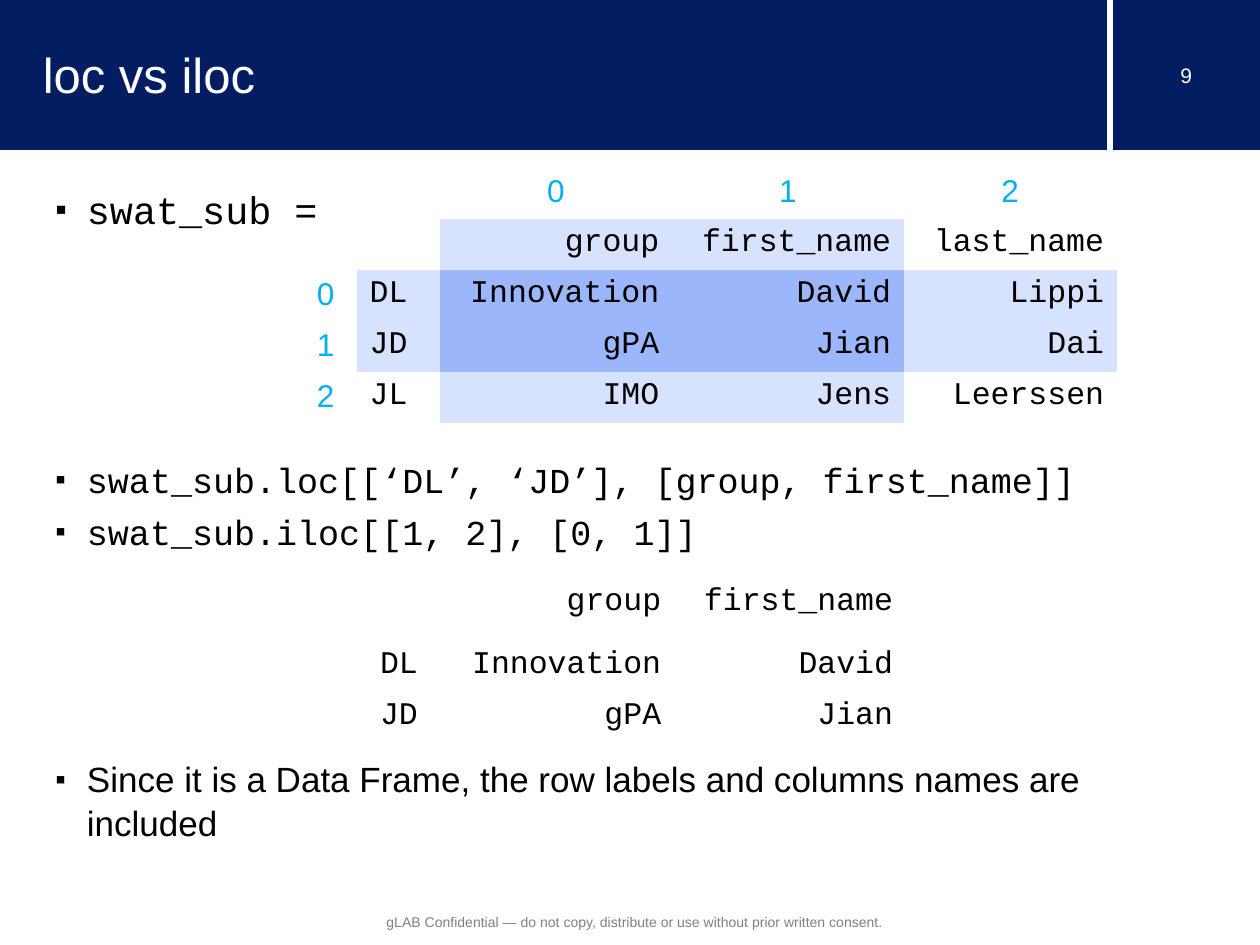
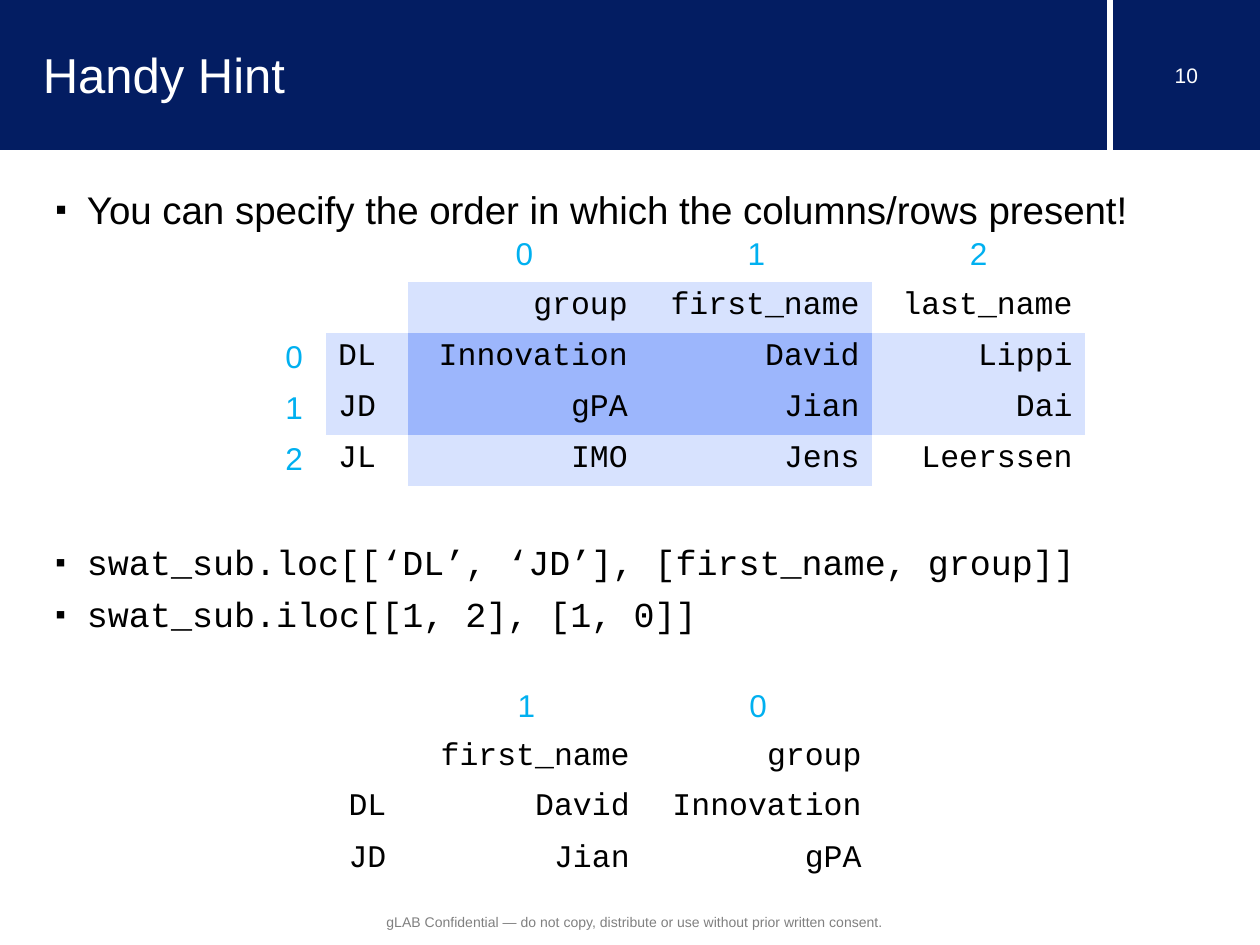
from lxml import etree
from pptx import Presentation
from pptx.dml.color import RGBColor
from pptx.enum import shapes, text
from pptx.oxml.ns import qn
from pptx.util import Pt

COLORS = {
    "navy": "031D62",
    "white": "FFFFFF",
    "black": "000000",
    "index": "00B0F0",
    "footer": "808080",
    "selected": "D7E2FE",
    "crossing": "9CB6FC",
}
SANS, MONO = "Arial", "Courier New"
NO_GRID = "{2D5ABB26-0587-4C30-8999-92F81FD0307C}"
WIDTH, HEIGHT = 720, 540
BAND_HEIGHT = 85.7
DIVIDER_X = 634.3
ROW_HEIGHT = 29.2
LEFT, CENTER, RIGHT = (text.PP_ALIGN.LEFT, text.PP_ALIGN.CENTER, text.PP_ALIGN.RIGHT)
FOOTER = "gLAB Confidential — do not copy, distribute or use without prior written consent."

FRAME = [
    ["", "", "0", "1", "2"],
    ["", "", "group", "first_name", "last_name"],
    ["0", "DL", "Innovation", "David", "Lippi"],
    ["1", "JD", "gPA", "Jian", "Dai"],
    ["2", "JL", "IMO", "Jens", "Leerssen"],
]
FRAME_COLS = [36, 47.4, 132.5, 132.5, 121.7]
RESULT_COLS = [42.5, 132.5, 132.5]


def rgb(name):
    return RGBColor.from_string(COLORS[name])


def place(sp, box):
    sp.left, sp.top, sp.width, sp.height = (Pt(v) for v in box)


def add_run(p, content, size, font, color):
    r = p.add_run()
    r.text = content
    r.font.size = Pt(size)
    r.font.name = font
    r.font.color.rgb = rgb(color)


def clear_margins(tf):
    tf.margin_left = tf.margin_top = tf.margin_right = tf.margin_bottom = 0


def add_label(slide, box, content, size, color):
    sp = slide.shapes.add_textbox(*(Pt(v) for v in box))
    tf = sp.text_frame
    tf.word_wrap = True
    clear_margins(tf)
    p = tf.paragraphs[0]
    p.alignment = CENTER
    add_run(p, content, size, SANS, color)


def add_header(slide, title, number):
    band = slide.shapes.add_shape(shapes.MSO_SHAPE.RECTANGLE, 0, 0, Pt(WIDTH), Pt(BAND_HEIGHT))
    band.shadow.inherit = False
    band.fill.solid()
    band.fill.fore_color.rgb = rgb("navy")
    band.line.fill.background()
    slide.shapes.element.insert(2, band.element)

    divider = slide.shapes.add_connector(
        shapes.MSO_CONNECTOR.STRAIGHT, Pt(DIVIDER_X), 0, Pt(DIVIDER_X), Pt(BAND_HEIGHT))
    divider.line.color.rgb = rgb("white")
    divider.line.width = Pt(3)
    etree.SubElement(divider.element.spPr, qn("a:effectLst"))

    number_x = DIVIDER_X + 1.5
    add_label(slide, (number_x, 36, WIDTH - number_x, 14.4), str(number), 12, "white")

    sp = slide.shapes.title
    place(sp, (24.5, 9.4, 586, 65.5))
    tf = sp.text_frame
    clear_margins(tf)
    tf.auto_size = text.MSO_AUTO_SIZE.NONE
    tf.vertical_anchor = text.MSO_ANCHOR.MIDDLE
    p = tf.paragraphs[0]
    p.alignment = LEFT
    add_run(p, title, 28, SANS, "white")


def set_bullet(p):
    pPr = p._p.get_or_add_pPr()
    pPr.set("marL", str(Pt(18)))
    pPr.set("indent", str(-Pt(18)))
    etree.SubElement(pPr, qn("a:buSzPct"), val="85000")
    etree.SubElement(pPr, qn("a:buFont"), typeface=SANS)
    etree.SubElement(pPr, qn("a:buChar"), char="▪")


def add_body(slide, box, items):
    sp = slide.placeholders[1]
    place(sp, box)
    tf = sp.text_frame
    tf.auto_size = text.MSO_AUTO_SIZE.NONE
    for i, (content, font, size, gap) in enumerate(items):
        p = tf.add_paragraph() if i else tf.paragraphs[0]
        p.line_spacing = 1.05
        p.space_before = Pt(gap)
        set_bullet(p)
        add_run(p, content, size, font, "black")


def add_grid(slide, left, top, values, cols, rows, index_rows=0, index_cols=0,
             picked_rows=(), picked_cols=()):
    frame = slide.shapes.add_table(
        len(rows), len(cols), Pt(left), Pt(top), Pt(sum(cols)), Pt(sum(rows)))
    table = frame.table
    table.first_row = table.horz_banding = False
    table._tbl.tblPr.find(qn("a:tableStyleId")).text = NO_GRID
    for column, width in zip(table.columns, cols):
        column.width = Pt(width)
    for row, height in zip(table.rows, rows):
        row.height = Pt(height)
    for y, line in enumerate(values):
        for x, content in enumerate(line):
            cell = table.cell(y, x)
            is_index = y < index_rows or x < index_cols
            shade = 0 if is_index else (y in picked_rows) + (x in picked_cols)
            if shade:
                cell.fill.solid()
                cell.fill.fore_color.rgb = rgb(("selected", "crossing")[shade - 1])
            else:
                cell.fill.background()
            if not content:
                continue
            p = cell.text_frame.paragraphs[0]
            if is_index:
                p.alignment = CENTER
                add_run(p, content, 18, SANS, "index")
            else:
                p.alignment = LEFT if x == index_cols else RIGHT
                add_run(p, content, 18, MONO, "black")


def add_frame(slide, left, top):
    add_grid(slide, left, top, FRAME, FRAME_COLS, [ROW_HEIGHT] * len(FRAME),
             index_rows=1, index_cols=1, picked_rows=(2, 3), picked_cols=(2, 3))


def add_content_slide(prs, number, title, items):
    slide = prs.slides.add_slide(prs.slide_layouts[1])
    add_header(slide, title, number)
    add_body(slide, (24.5, 101.5, 659.5, 391), items)
    add_label(slide, (24.5, 522, 676.8, 12.2), FOOTER, 8, "footer")
    return slide


def add_loc_slide(prs):
    slide = add_content_slide(prs, 9, "loc vs iloc", [
        ("swat_sub =", MONO, 22, 0),
        ("swat_sub.loc[[‘DL’, ‘JD’], [group, first_name]]", MONO, 20, 128),
        ("swat_sub.iloc[[1, 2], [0, 1]]", MONO, 20, 4.6),
        ("Since it is a Data Frame, the row labels and columns names are included",
         SANS, 20, 116),
    ])
    add_frame(slide, 168, 96)
    result = [
        ["", "group", "first_name"],
        ["DL", "Innovation", "David"],
        ["JD", "gPA", "Jian"],
    ]
    add_grid(slide, 210, 330, result, RESULT_COLS, [36, ROW_HEIGHT, ROW_HEIGHT])


def add_hint_slide(prs):
    slide = add_content_slide(prs, 10, "Handy Hint", [
        ("You can specify the order in which the columns/rows present!", SANS, 22, 0),
        ("swat_sub.loc[[‘DL’, ‘JD’], [first_name, group]]", MONO, 20, 175),
        ("swat_sub.iloc[[1, 2], [1, 0]]", MONO, 20, 4.6),
    ])
    result = [
        ["", "1", "0"],
        ["", "first_name", "group"],
        ["DL", "David", "Innovation"],
        ["JD", "Jian", "gPA"],
    ]
    add_grid(slide, 192, 390, result, RESULT_COLS, [27.6, 27.6, ROW_HEIGHT, ROW_HEIGHT],
             index_rows=1)
    add_frame(slide, 150, 132)


def main():
    prs = Presentation()
    prs.slide_width, prs.slide_height = Pt(WIDTH), Pt(HEIGHT)
    add_loc_slide(prs)
    add_hint_slide(prs)
    prs.save("out.pptx")


if __name__ == "__main__":
    main()
